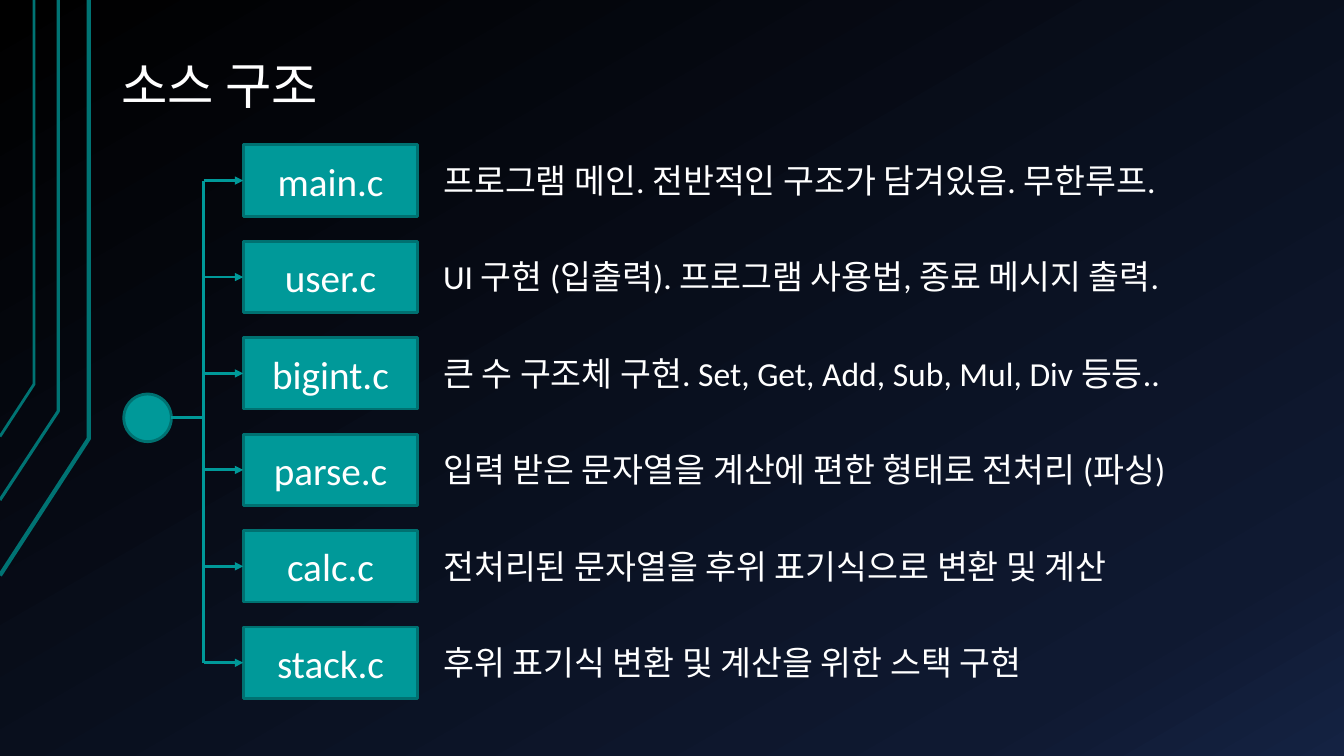
import copy
from dataclasses import dataclass

import pptx
import pptx.dml.color
import pptx.enum.shapes
import pptx.enum.text
import pptx.oxml
import pptx.oxml.ns
import pptx.shapes.autoshape
import pptx.shapes.connector
import pptx.shapes.shapetree
import pptx.slide
import pptx.text.text
import pptx.util

Cm = pptx.util.Cm
Pt = pptx.util.Pt
RGB = pptx.dml.color.RGBColor
Shapes = pptx.shapes.shapetree.SlideShapes
AutoShape = pptx.shapes.autoshape.Shape
ANCHOR = pptx.enum.text.MSO_ANCHOR
ALIGN = pptx.enum.text.PP_ALIGN
PRESET = pptx.enum.shapes.MSO_SHAPE


@dataclass(frozen=True)
class Theme:
    text: RGB = RGB.from_string("FFFFFF")
    accent: RGB = RGB.from_string("009999")
    border: RGB = RGB.from_string("007171")
    rail: RGB = RGB.from_string("007373")
    backdrop: tuple[tuple[float, str], ...] = (
        (0, "000000"), (0.85, "0F1931"), (1, "142242"))
    title_font: str = "Noto Sans CJK KR"
    body_font: str = "Calibri"
    title_size: int = 36
    file_size: int = 28
    role_size: int = 24
    stroke: float = 2


@dataclass(frozen=True)
class Rail:
    x: float
    bend_y: float
    end_y: float
    weight: float


@dataclass(frozen=True)
class SourceFile:
    name: str
    role: str


THEME = Theme()
RAILS = (
    Rail(2.24, 11.05, 14.5, 3),
    Rail(1.47, 10.36, 12.6, 2.25),
    Rail(0.86, 9.68, 11, 2),
)
SOURCE_FILES = (
    SourceFile("main.c", "프로그램 메인. 전반적인 구조가 담겨있음. 무한루프."),
    SourceFile("user.c", "UI 구현 (입출력). 프로그램 사용법, 종료 메시지 출력."),
    SourceFile("bigint.c", "큰 수 구조체 구현. Set, Get, Add, Sub, Mul, Div 등등.."),
    SourceFile("parse.c", "입력 받은 문자열을 계산에 편한 형태로 전처리 (파싱)"),
    SourceFile("calc.c", "전처리된 문자열을 후위 표기식으로 변환 및 계산"),
    SourceFile("stack.c", "후위 표기식 변환 및 계산을 위한 스택 구현"),
)
FIRST_TOP, ROW_PITCH = 3.65, 2.43
BOX_LEFT, BOX_WIDTH, BOX_HEIGHT = 6.13, 4.4, 1.8
ROLE_LEFT, ROLE_WIDTH, ROLE_HEIGHT, ROLE_DROP = 10.92, 19.8, 1.28, 0.25
TRUNK_X = 5.13
ROOT_LEFT, ROOT_TOP, ROOT_SIZE = 3.12, 9.93, 1.2


def paint_background(slide: pptx.slide.Slide) -> None:
    fill = slide.background.fill
    fill.gradient()
    fill.gradient_angle = 300
    stop_list = slide.element.find(".//" + pptx.oxml.ns.qn("a:gsLst"))
    stop_list.append(copy.deepcopy(stop_list[-1]))
    for stop, (position, color) in zip(fill.gradient_stops, THEME.backdrop):
        stop.position = position
        stop.color.rgb = RGB.from_string(color)


def write(frame: pptx.text.text.TextFrame, text: str, size: int, font: str,
          align: ALIGN = ALIGN.LEFT) -> None:
    frame.word_wrap = True
    frame.text = text
    paragraph = frame.paragraphs[0]
    paragraph.alignment = align
    paragraph.font.name = font
    paragraph.font.size = Pt(size)
    paragraph.font.color.rgb = THEME.text


def place_title(title: AutoShape, text: str) -> None:
    title.left, title.top = Cm(2.72), Cm(-0.3)
    title.width, title.height = Cm(28.78), Cm(3.4)
    frame = title.text_frame
    write(frame, text, THEME.title_size, THEME.title_font)
    frame.auto_size = pptx.enum.text.MSO_AUTO_SIZE.NONE
    frame.vertical_anchor = ANCHOR.BOTTOM
    frame.margin_left = frame.margin_right = Cm(0.33)
    frame.margin_top = frame.margin_bottom = Cm(0.18)
    frame.paragraphs[0].line_spacing = 0.9


def draw_rail(shapes: Shapes, rail: Rail) -> None:
    builder = shapes.build_freeform(Cm(0), Cm(rail.end_y))
    builder.add_line_segments(
        [(Cm(rail.x), Cm(rail.bend_y)), (Cm(rail.x), Cm(0))], close=False)
    outline = builder.convert_to_shape()
    outline.shadow.inherit = False
    outline.fill.background()
    outline.line.color.rgb = THEME.rail
    outline.line.width = Pt(rail.weight)


def draw_node(shapes: Shapes, preset: PRESET, left: float, top: float,
              width: float, height: float) -> AutoShape:
    node = shapes.add_shape(preset, Cm(left), Cm(top), Cm(width), Cm(height))
    node.shadow.inherit = False
    node.fill.solid()
    node.fill.fore_color.rgb = THEME.accent
    node.line.color.rgb = THEME.border
    node.line.width = Pt(THEME.stroke)
    return node


def draw_link(shapes: Shapes, x1: float, y1: float, x2: float,
              y2: float) -> pptx.shapes.connector.Connector:
    link = shapes.add_connector(pptx.enum.shapes.MSO_CONNECTOR.STRAIGHT,
                                Cm(x1), Cm(y1), Cm(x2), Cm(y2))
    link.line.color.rgb = THEME.accent
    link.line.width = Pt(THEME.stroke)
    pptx.oxml.ns.qn("a:effectLst")
    link.element.spPr.append(
        pptx.oxml.parse_xml(f"<a:effectLst {pptx.oxml.ns.nsdecls('a')}/>"))
    return link


def draw_row(shapes: Shapes, source: SourceFile, top: float) -> None:
    box = draw_node(shapes, PRESET.RECTANGLE, BOX_LEFT, top, BOX_WIDTH, BOX_HEIGHT)
    box.text_frame.vertical_anchor = ANCHOR.MIDDLE
    write(box.text_frame, source.name, THEME.file_size, THEME.body_font, ALIGN.CENTER)

    middle = top + BOX_HEIGHT / 2
    branch = draw_link(shapes, TRUNK_X, middle, BOX_LEFT, middle)
    branch.end_connect(box, 1)
    branch.get_or_add_ln().append(pptx.oxml.parse_xml(
        f"<a:tailEnd {pptx.oxml.ns.nsdecls('a')} type='triangle'/>"))

    role = shapes.add_textbox(Cm(ROLE_LEFT), Cm(top + ROLE_DROP),
                              Cm(ROLE_WIDTH), Cm(ROLE_HEIGHT))
    write(role.text_frame, source.role, THEME.role_size, THEME.body_font)


def main() -> None:
    """Build the source structure slide and save it."""
    deck = pptx.Presentation()
    deck.slide_width, deck.slide_height = Cm(33.87), Cm(19.05)
    slide = deck.slides.add_slide(deck.slide_layouts.get_by_name("Title Only"))
    shapes = slide.shapes
    paint_background(slide)
    place_title(shapes.title, "소스 구조")
    for rail in RAILS:
        draw_rail(shapes, rail)

    draw_node(shapes, PRESET.OVAL, ROOT_LEFT, ROOT_TOP, ROOT_SIZE, ROOT_SIZE)
    root_middle = ROOT_TOP + ROOT_SIZE / 2
    draw_link(shapes, ROOT_LEFT + ROOT_SIZE, root_middle, TRUNK_X, root_middle)
    first_middle = FIRST_TOP + BOX_HEIGHT / 2
    last_middle = first_middle + (len(SOURCE_FILES) - 1) * ROW_PITCH
    draw_link(shapes, TRUNK_X, first_middle, TRUNK_X, last_middle)
    for row, source in enumerate(SOURCE_FILES):
        draw_row(shapes, source, FIRST_TOP + row * ROW_PITCH)

    deck.save("out.pptx")


if __name__ == "__main__":
    main()
